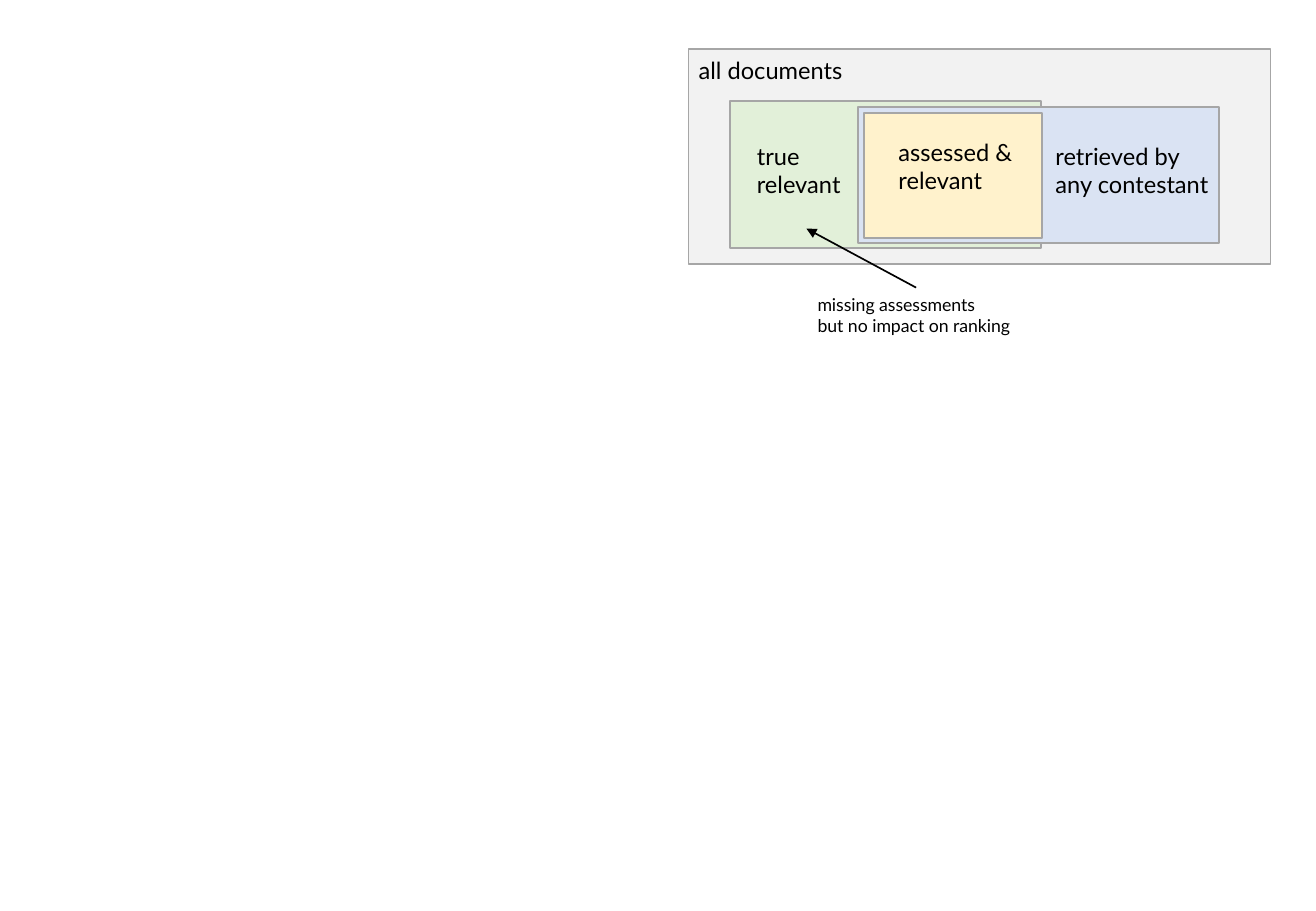
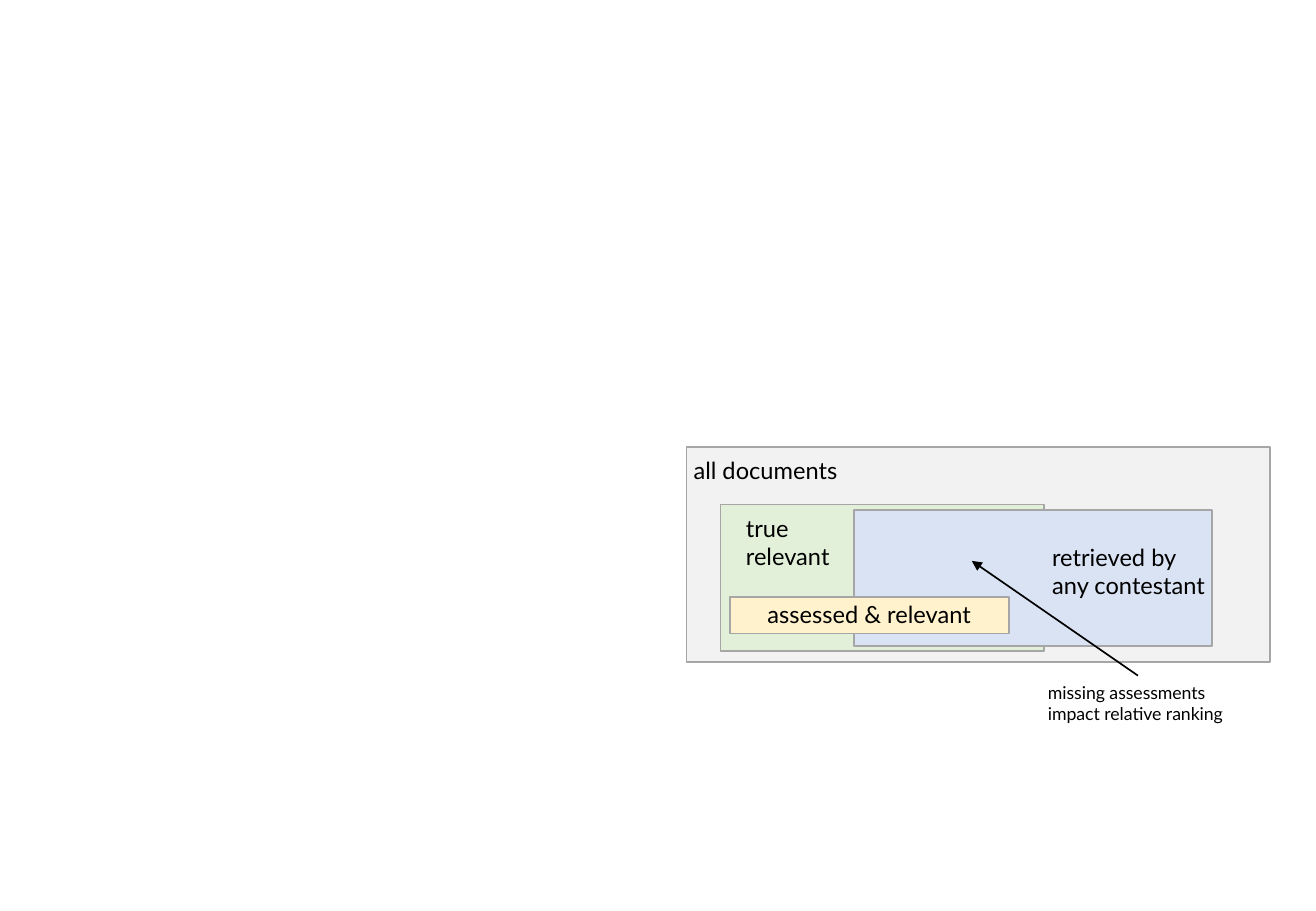
"""Build two set diagrams about missing relevance assessments."""
from lxml.etree import SubElement
from pptx import Presentation
from pptx.dml.color import RGBColor
from pptx.enum.shapes import MSO_CONNECTOR as LINE, MSO_SHAPE as SHAPE
from pptx.enum.text import MSO_AUTO_SIZE as FIT, PP_ALIGN as ALIGN
from pptx.oxml.ns import qn
from pptx.util import Pt

ALL, TRUE, RETRIEVED, ASSESSED = "F2F2F2", "E2F0D9", "DAE3F3", "FFF2CC"
BORDER, INK = "A6A6A6", "000000"
FONT, LABEL_SIZE, NOTE_SIZE = "Lato", 14, 10.5


def rgb(value):
    return RGBColor.from_string(value)


class Deck:
    def __init__(self, width, height):
        self.prs = Presentation()
        self.prs.slide_width, self.prs.slide_height = Pt(width), Pt(height)

    def new_slide(self):
        self.s = self.prs.slides.add_slide(self.prs.slide_layouts[6])

    def box(self, fill, *at):
        sp = self.s.shapes.add_shape(SHAPE.RECTANGLE, *map(Pt, at))
        sp.shadow.inherit = False
        sp.fill.solid()
        sp.fill.fore_color.rgb = rgb(fill)
        sp.line.color.rgb = rgb(BORDER)
        sp.line.width = Pt(1)

    def label(self, text, *at, size=LABEL_SIZE, centred=False):
        sp = self.s.shapes.add_textbox(*map(Pt, at))
        tf = sp.text_frame
        tf.word_wrap = centred
        tf.auto_size = FIT.SHAPE_TO_FIT_TEXT
        p = tf.paragraphs[0]
        p.text = text
        p.alignment = ALIGN.CENTER if centred else ALIGN.LEFT
        for r in p.runs:
            r.font.name, r.font.size = FONT, Pt(size)
            r.font.color.rgb = rgb(INK)
        return sp

    def callout(self, text, tip, *at):
        note = self.label(text, *at, size=NOTE_SIZE)
        x, y = map(Pt, tip)
        line = self.s.shapes.add_connector(LINE.STRAIGHT, note.left, note.top, x, y)
        line.begin_connect(note, 0)
        line.line.color.rgb = rgb(INK)
        line.line.width = Pt(1)
        SubElement(line.line._get_or_add_ln(), qn("a:tailEnd"), type="triangle")
        SubElement(line._element.spPr, qn("a:effectLst"))


def pooled_slide(d):
    d.new_slide()
    d.box(ALL, 408, 29, 345, 127.5)
    d.label("all documents", 407, 29.5, 101.5, 24.5)
    d.box(TRUE, 432.5, 60, 184.5, 87)
    d.box(RETRIEVED, 508.5, 63.5, 214, 80.5)
    d.box(ASSESSED, 512, 67, 105.5, 74)
    d.label("true\nrelevant", 441.5, 80.5, 68.5, 41)
    d.label("assessed &\nrelevant", 525.5, 78, 83, 41)
    d.label("retrieved by \nany contestant", 618.5, 80.5, 106.5, 41)
    d.callout("missing assessments\nbut no impact on ranking",
              (478, 135.5), 477.5, 170.5, 131, 33)


def partial_slide(d):
    d.new_slide()
    d.box(ALL, 407, 265, 346, 127.5)
    d.label("all documents", 404, 267, 101.5, 24.5)
    d.box(TRUE, 427, 299, 192, 87)
    d.box(RETRIEVED, 506, 302.5, 212.5, 80.5)
    d.box(ASSESSED, 432.5, 354, 165.5, 21.5)
    d.label("true\nrelevant", 435, 301, 68.5, 41)
    d.label("retrieved by \nany contestant", 616.5, 318, 106.5, 41)
    d.label("assessed & relevant", 432, 352, 166.5, 24.5, centred=True)
    d.callout("missing assessments\nimpact relative ranking",
              (576, 332.5), 614, 400.5, 121, 33)


def main():
    d = Deck(780, 540)
    pooled_slide(d)
    partial_slide(d)
    d.prs.save("out.pptx")


if __name__ == "__main__":
    main()
